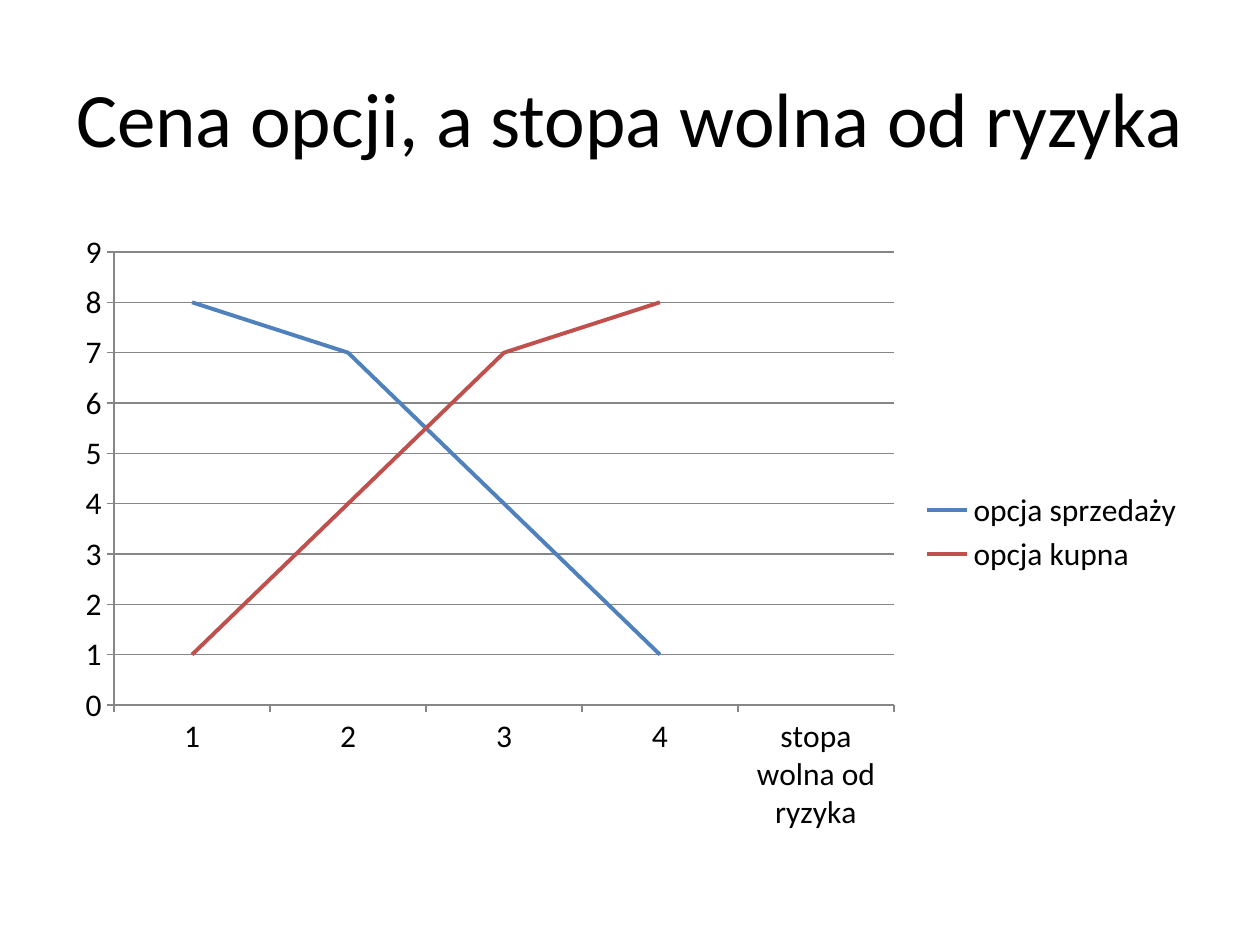
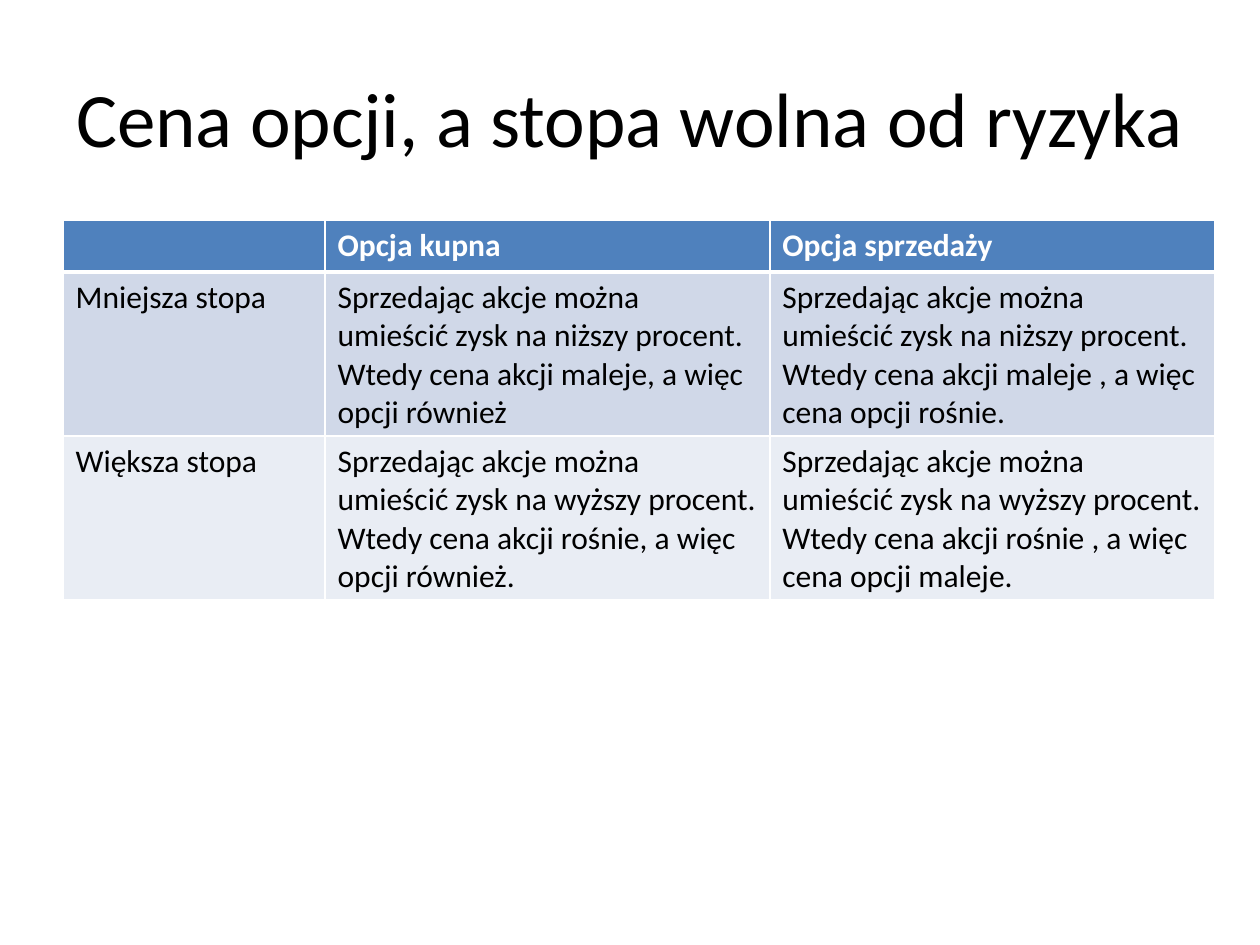
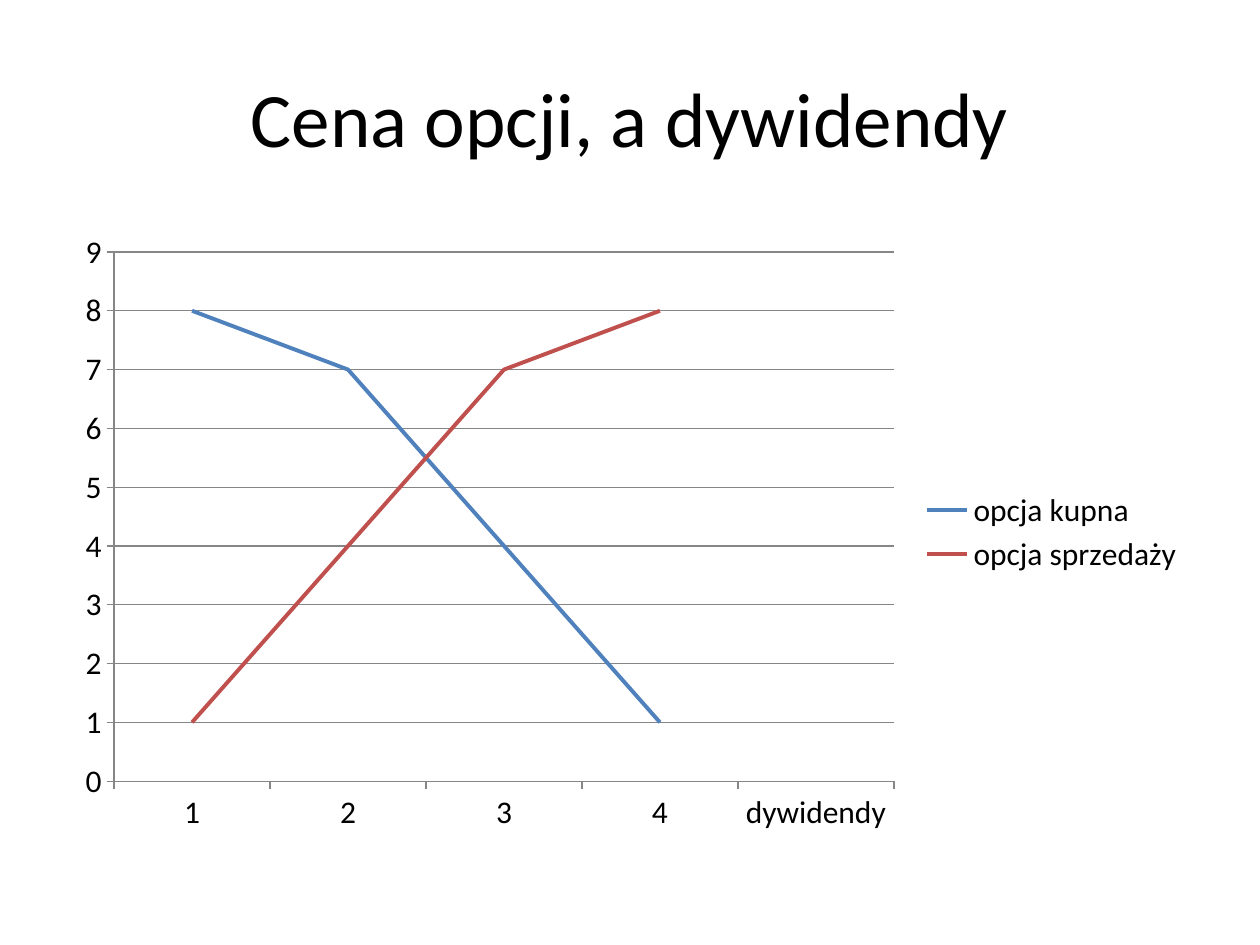
from lxml import etree
from pptx import Presentation
from pptx.chart.data import CategoryChartData
from pptx.dml.color import RGBColor
from pptx.enum.chart import XL_CHART_TYPE, XL_LEGEND_POSITION, XL_MARKER_STYLE, XL_TICK_MARK
from pptx.enum.text import MSO_ANCHOR, PP_ALIGN
from pptx.oxml.ns import qn
from pptx.util import Inches, Pt

LINE = XL_CHART_TYPE.LINE
RIGHT = XL_LEGEND_POSITION.RIGHT
NO_MARK = XL_MARKER_STYLE.NONE
OUT = XL_TICK_MARK.OUTSIDE
MIDDLE = MSO_ANCHOR.MIDDLE
CENTER = PP_ALIGN.CENTER

# Shared style
FONT = "Calibri"
BLACK, WHITE, GRAY = "000000", "FFFFFF", "868686"
BLUE, RED = "4F81BD", "C0504D"
BANDS = ["D0D8E8", "E9EDF4"]
LEFT, TOP, WIDTH = 0.5, 1.75, 9

# Content
RATE = "Cena opcji, a stopa wolna od ryzyka"
DIVS = "Cena opcji, a dywidendy"
FALL, RISE = (8, 7, 4, 1, None), (1, 4, 7, 8, None)
RATE_LINES = [("opcja sprzedaży", FALL), ("opcja kupna", RISE)]
DIV_LINES = [("opcja kupna", FALL), ("opcja sprzedaży", RISE)]
COLS = [2.08, 3.53, 3.53]
ROWS = [0.41, 1.3, 1.3]
CELLS = [
    ["", "Opcja kupna", "Opcja sprzedaży"],
    ["Mniejsza stopa",
     "Sprzedając akcje można umieścić zysk na niższy procent. "
     "Wtedy cena akcji maleje, a więc opcji również",
     "Sprzedając akcje można umieścić zysk na niższy procent. "
     "Wtedy cena akcji maleje , a więc cena opcji rośnie."],
    ["Większa stopa",
     "Sprzedając akcje można umieścić zysk na wyższy procent. "
     "Wtedy cena akcji rośnie, a więc opcji również.",
     "Sprzedając akcje można umieścić zysk na wyższy procent. "
     "Wtedy cena akcji rośnie , a więc cena opcji maleje."],
]


def color(code):
    return RGBColor.from_string(code)


def style(font, size, code, bold=False):
    font.name, font.size, font.bold = FONT, Pt(size), bold
    font.color.rgb = color(code)


def stroke(line, code, width):
    line.color.rgb = color(code)
    line.width = Pt(width)


def add_slide(deck, title):
    slide = deck.slides.add_slide(deck.slide_layouts[6])
    box = slide.shapes.add_textbox(Inches(LEFT), Inches(0.3), Inches(WIDTH), Inches(1.25))
    frame = box.text_frame
    frame.word_wrap = True
    frame.vertical_anchor = MIDDLE
    par = frame.paragraphs[0]
    par.alignment = CENTER
    run = par.add_run()
    run.text = title
    style(run.font, 44, BLACK)
    return slide


def add_lines(slide, last, lines):
    data = CategoryChartData()
    data.categories = ["1", "2", "3", "4", last]
    for name, vals in lines:
        data.add_series(name, vals)
    chart = slide.shapes.add_chart(
        LINE, Inches(LEFT), Inches(TOP), Inches(WIDTH), Inches(4.95), data).chart
    style(chart.font, 18, BLACK)
    chart.has_title = False
    chart.has_legend = True
    chart.legend.position = RIGHT
    chart.legend.include_in_layout = False
    # Axes and grid
    for axis in (chart.category_axis, chart.value_axis):
        axis.major_tick_mark = OUT
        stroke(axis.format.line, GRAY, 0.75)
    chart.value_axis.has_major_gridlines = True
    stroke(chart.value_axis.major_gridlines.format.line, GRAY, 0.75)
    # Series
    plot = chart.plots[0]
    plot.vary_by_categories = False
    for line, code in zip(plot.series, (BLUE, RED)):
        line.smooth = False
        line.marker.style = NO_MARK
        stroke(line.format.line, code, 2.25)


def add_edges(cell, base):
    props = cell._tc.get_or_add_tcPr()
    for pos, (side, width) in enumerate([("L", 1), ("R", 1), ("T", 1), ("B", base)]):
        edge = etree.Element(qn("a:ln" + side), w=str(Pt(width)))
        fill = etree.SubElement(edge, qn("a:solidFill"))
        etree.SubElement(fill, qn("a:srgbClr"), val=WHITE)
        props.insert(pos, edge)


def add_grid(slide):
    table = slide.shapes.add_table(
        len(ROWS), len(COLS), Inches(LEFT), Inches(TOP),
        Inches(sum(COLS)), Inches(sum(ROWS))).table
    for col, width in zip(table.columns, COLS):
        col.width = Inches(width)
    for r, texts in enumerate(CELLS):
        table.rows[r].height = Inches(ROWS[r])
        head = r == 0
        for c, text in enumerate(texts):
            cell = table.cell(r, c)
            cell.fill.solid()
            cell.fill.fore_color.rgb = color(BLUE if head else BANDS[r - 1])
            # The header has a thick rule shared with the row below
            add_edges(cell, 3 if head else 1)
            if r == 1:
                cell._tc.tcPr.find(qn("a:lnT")).set("w", str(Pt(3)))
            par = cell.text_frame.paragraphs[0]
            if text:
                run = par.add_run()
                run.text = text
                style(run.font, 18, WHITE if head else BLACK, head)
            else:
                style(par.font, 18, WHITE, True)


def main():
    deck = Presentation()
    deck.slide_width, deck.slide_height = Inches(10), Inches(7.5)
    add_lines(add_slide(deck, RATE), "stopa wolna od ryzyka", RATE_LINES)
    add_grid(add_slide(deck, RATE))
    add_lines(add_slide(deck, DIVS), "dywidendy", DIV_LINES)
    deck.save("out.pptx")


if __name__ == "__main__":
    main()
